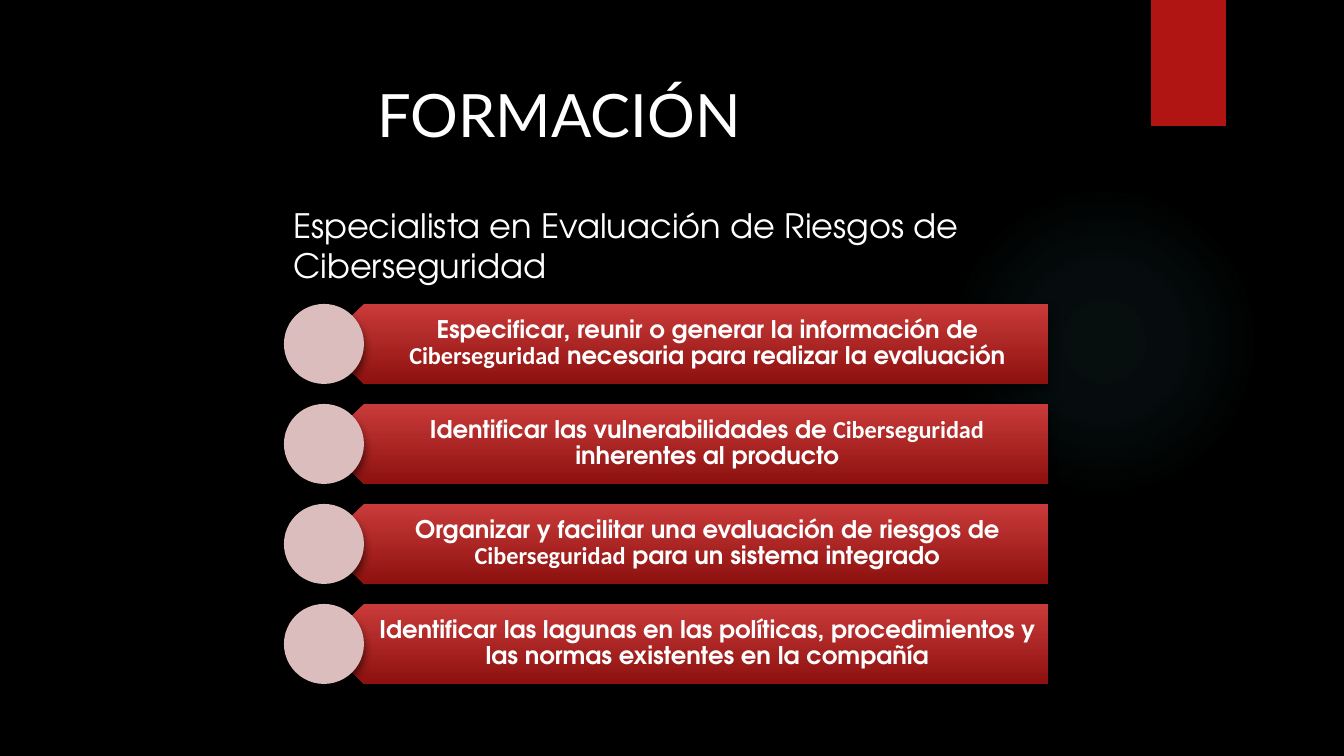
from lxml.etree import SubElement
from pptx import Presentation
from pptx.dml.color import RGBColor
from pptx.enum.shapes import MSO_SHAPE
from pptx.enum.text import MSO_ANCHOR, PP_ALIGN
from pptx.oxml.ns import qn
from pptx.util import Emu, Pt

PX = 914400 / 134.4
HEADING = {"name": "Lato", "size": Pt(32), "bold": False}
SUBTITLE = {"name": "TeX Gyre Adventor", "size": Pt(18), "bold": False}
ITEM = {"name": "TeX Gyre Adventor", "size": Pt(13), "bold": True}
KEYWORD = ITEM | {"name": "Calibri"}
TOPIC = "Ciberseguridad"


def draw(kind, bounds, fill, shadow=None):
    shape = page.shapes.add_shape(kind, *[Emu(round(n * PX)) for n in bounds])
    shape.line.fill.background()
    shape.shadow.inherit = False
    properties = shape._element.spPr
    if isinstance(fill, str):
        shape.fill.solid()
        shape.fill.fore_color.rgb = RGBColor.from_string(fill)
    else:
        shape.fill.gradient()
        gradient = properties.find(qn("a:gradFill"))
        gradient.set("rotWithShape", "0")
        for child in list(gradient):
            gradient.remove(child)
        stops = SubElement(gradient, qn("a:gsLst"))
        for position, color, opacity in fill:
            stop = SubElement(stops, qn("a:gs"), pos=str(position * 1000))
            tone = SubElement(stop, qn("a:srgbClr"), val=color)
            SubElement(tone, qn("a:alpha"), val=str(opacity * 1000))
        if kind == MSO_SHAPE.OVAL:
            circle = SubElement(gradient, qn("a:path"), path="circle")
            SubElement(circle, qn("a:fillToRect"), l="50000", t="50000", r="50000", b="50000")
        else:
            SubElement(gradient, qn("a:lin"), ang="5400000", scaled="0")
    if shadow:
        opacity, blur, distance = shadow
        outer = SubElement(properties.find(qn("a:effectLst")), qn("a:outerShdw"),
                           blurRad=str(Pt(blur)), dist=str(Pt(distance)),
                           dir="5400000", rotWithShape="0")
        tone = SubElement(outer, qn("a:srgbClr"), val="000000")
        SubElement(tone, qn("a:alpha"), val=str(opacity * 1000))
    return shape


def write(bounds, spans):
    box = page.shapes.add_textbox(*[Emu(round(n * PX)) for n in bounds])
    box.text_frame.word_wrap = True
    para = box.text_frame.paragraphs[0]
    for text, style in spans:
        span = para.add_run()
        span.text = text
        span.font.color.rgb = RGBColor.from_string("FFFFFF")
        for key, value in style.items():
            setattr(span.font, key, value)
    return box.text_frame


deck = Presentation()
deck.slide_width, deck.slide_height = Emu(round(1344 * PX)), Emu(round(756 * PX))
page = deck.slides.add_slide(deck.slide_layouts[6])
page.background.fill.solid()
page.background.fill.fore_color.rgb = RGBColor.from_string("000000")

draw(MSO_SHAPE.OVAL, (949, 186, 310, 310),
     [(0, "50B9C1", 7), (36, "50B9C1", 6), (69, "50B9C1", 0)])
draw(MSO_SHAPE.RECTANGLE, (1151, 0, 75, 126), "B01513", (45, 3, 2))

write((364, 71, 953, 86), [("FORMACIÓN", HEADING)])
write((280, 198, 794, 54),
      [("Especialista en Evaluación de Riesgos de Ciberseguridad", SUBTITLE)])

items = [
    "Especificar, reunir o generar la información de Ciberseguridad necesaria para realizar la evaluación",
    "Identificar las vulnerabilidades de Ciberseguridad inherentes al producto",
    "Organizar y facilitar una evaluación de riesgos de Ciberseguridad para un sistema integrado",
    "Identificar las lagunas en las políticas, procedimientos y las normas existentes en la compañía",
]
for row, item in enumerate(items):
    top = 304 + 100 * row
    banner = draw(MSO_SHAPE.PENTAGON, (324, top, 724, 80),
                  [(0, "C93B3A", 100), (100, "8D110F", 100)], (60, 5, 3))
    banner.rotation = 180
    before, topic, after = item.partition(TOPIC)
    spans = [(before, ITEM), (topic, KEYWORD), (after, ITEM)]
    frame = write((344, top, 704, 80), [span for span in spans if span[0]])
    margins = {"margin_left": 35, "margin_top": 7, "margin_right": 13, "margin_bottom": 7}
    for side, length in margins.items():
        setattr(frame, side, Emu(round(length * PX)))
    frame.vertical_anchor = MSO_ANCHOR.MIDDLE
    frame.paragraphs[0].alignment = PP_ALIGN.CENTER
    frame.paragraphs[0].line_spacing = 0.9
    draw(MSO_SHAPE.OVAL, (284, top, 80, 80), "DCBDBD", (60, 5, 3))

deck.save("out.pptx")
